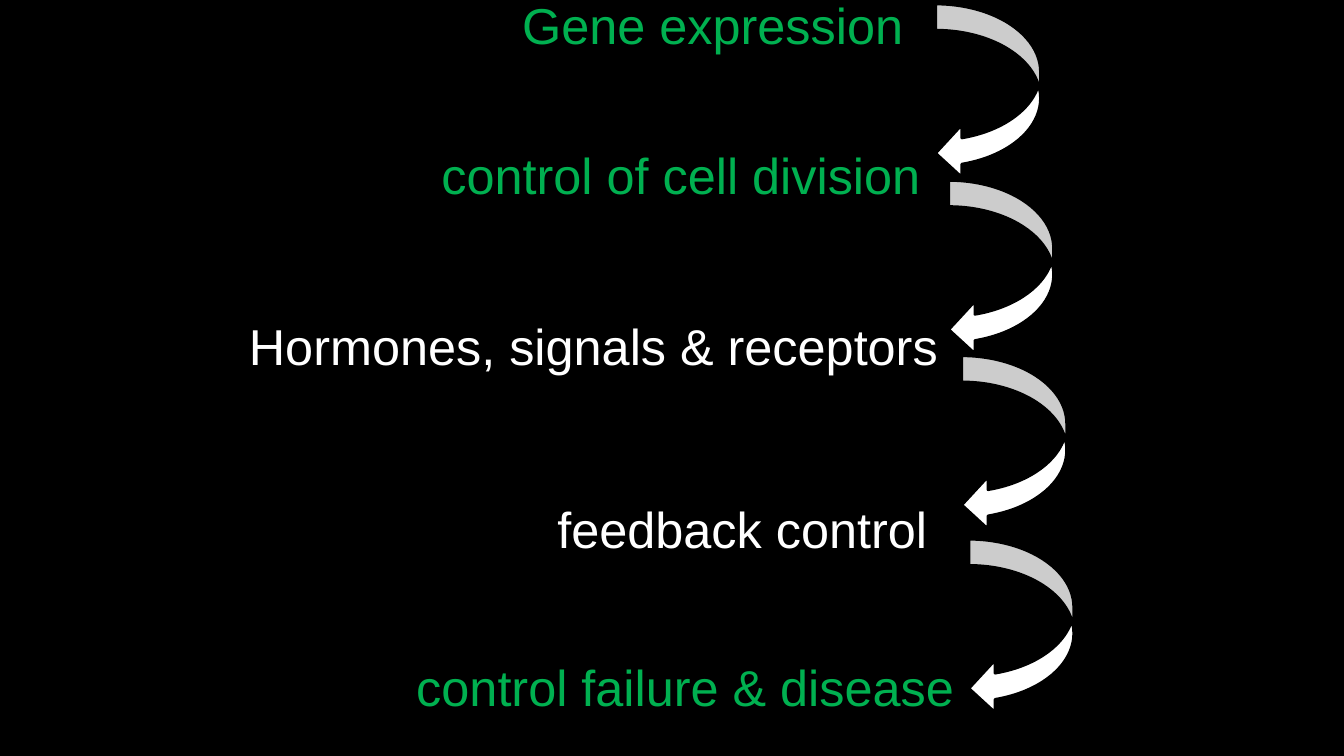
from pptx import Presentation
from pptx.dml.color import RGBColor
from pptx.enum.shapes import MSO_SHAPE as Shape
from pptx.enum.text import MSO_AUTO_SIZE as AutoSize, PP_ALIGN as Align
from pptx.util import Inches, Pt

BLACK = RGBColor(0x00, 0x00, 0x00)
WHITE = RGBColor(0xFF, 0xFF, 0xFF)
GREEN = RGBColor(0x00, 0xB0, 0x50)

# text, left, top, width, colour
STAGES = [
    ("Gene expression", 5.08, -0.11, 4.02, GREEN),
    ("control of cell division", 4.28, 1.38, 5, GREEN),
    ("Hormones, signals & receptors", 2.37, 3.08, 7.1, WHITE),
    ("feedback control", 5.43, 4.89, 3.9, WHITE),
    ("control failure & disease", 4.03, 6.46, 5.59, GREEN),
]
ARROW_CORNERS = [(8.93, 0.39), (9.06, 2.14), (9.19, 3.88), (9.26, 5.7)]


class StagePage:
    font_name = "Arial"
    font_size = Pt(36)
    label_height = Inches(0.71)
    arrow_size = Inches(1.74), Inches(1.04)

    def __init__(self, deck):
        self.page = deck.slides.add_slide(deck.slide_layouts[6])
        background = self.page.background.fill
        background.solid()
        background.fore_color.rgb = BLACK

    def add_arrow(self, left, top):
        """Add an arrow that curves from one stage down to the next."""
        arrow = self.page.shapes.add_shape(
            Shape.CURVED_UP_ARROW, Inches(left), Inches(top), *self.arrow_size)
        arrow.rotation = 270
        arrow._element.spPr.xfrm.set("flipH", "1")
        arrow.shadow.inherit = False
        arrow.fill.solid()
        arrow.fill.fore_color.rgb = WHITE
        arrow.line.color.rgb = BLACK
        arrow.line.width = Pt(2)

    def add_label(self, text, left, top, width, color):
        box = self.page.shapes.add_textbox(
            Inches(left), Inches(top), Inches(width), self.label_height)
        frame = box.text_frame
        frame.word_wrap = True
        frame.auto_size = AutoSize.SHAPE_TO_FIT_TEXT
        para = frame.paragraphs[0]
        para.text = text
        para.alignment = Align.JUSTIFY
        para.font.name = self.font_name
        para.font.size = self.font_size
        para.font.color.rgb = color


def main():
    deck = Presentation()
    deck.slide_width = Inches(13.33)
    deck.slide_height = Inches(7.5)
    page = StagePage(deck)
    for corner in ARROW_CORNERS:
        page.add_arrow(*corner)
    for stage in STAGES:
        page.add_label(*stage)
    deck.save("out.pptx")


if __name__ == "__main__":
    main()
